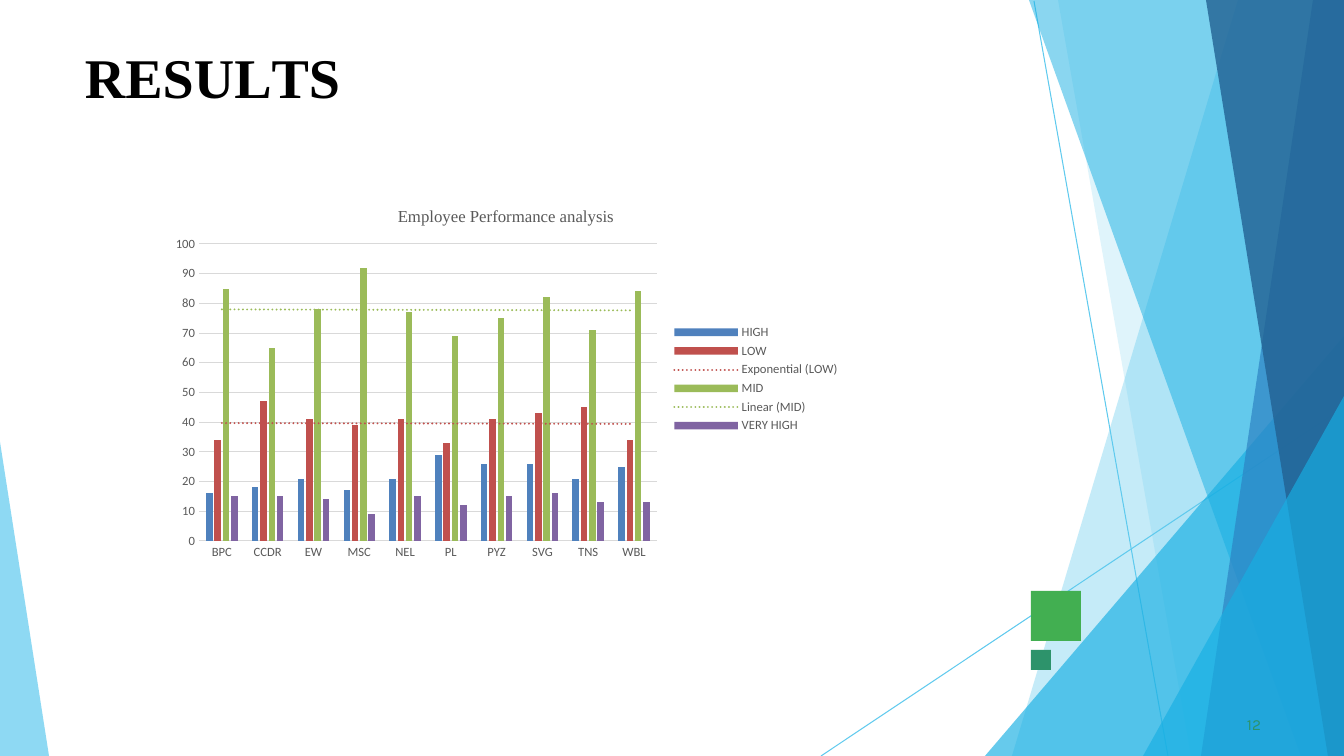
from lxml.etree import SubElement
from pptx import Presentation
from pptx.chart.data import CategoryChartData
from pptx.dml.color import RGBColor
from pptx.enum.chart import XL_CHART_TYPE, XL_LEGEND_POSITION, XL_TICK_MARK
from pptx.enum.shapes import MSO_CONNECTOR, MSO_SHAPE
from pptx.oxml import parse_xml
from pptx.oxml.ns import nsdecls, qn
from pptx.util import Pt

SCALE = 914400 / 100.8
WIDTH, HEIGHT = 1344, 756
COLORS = {
    "sky": "5FCAEE", "cyan": "17AFE3", "blue": "2D83C3", "navy": "226192",
    "green": "42AF51", "teal": "2D936B", "black": "000000",
    "label": "595959", "grid": "D9D9D9",
    "HIGH": "4F81BD", "LOW": "C0504D", "MID": "9BBB59", "VERY HIGH": "8064A2",
}


def px(*lengths):
    return [round(length * SCALE) for length in lengths]


def write_text(place, runs, size, font, color, bold, before):
    box = page.shapes.add_textbox(*px(*place))
    frame = box.text_frame
    frame.word_wrap = True
    frame.margin_left = frame.margin_right = frame.margin_bottom = 0
    frame.margin_top = px(1)[0]
    para = frame.paragraphs[0]
    para.space_before = Pt(before)
    for text, spacing in runs:
        span = para.add_run()
        span.text = text
        span.font.size = Pt(size)
        span.font.name = font
        span.font.bold = bold
        span.font.color.rgb = RGBColor.from_string(COLORS[color])
        span.font._element.set("spc", str(spacing))
    return para


deck = Presentation()
deck.slide_width, deck.slide_height = px(WIDTH, HEIGHT)
page = deck.slides.add_slide(deck.slide_layouts[6])

for ends in [(1034, 1, 1168, HEIGHT), (WIDTH, 407, 821, HEIGHT)]:
    line = page.shapes.add_connector(MSO_CONNECTOR.STRAIGHT, *px(*ends))
    line.line.color.rgb = RGBColor.from_string(COLORS["sky"])
    line.line.width = Pt(0.75)
    SubElement(line._element.spPr, qn("a:effectLst"))

right_top, right_bottom = (WIDTH, 0), (WIDTH, HEIGHT)
facets = [
    ("sky", 36, [right_top, (1238, 0), (1012, HEIGHT), right_bottom]),
    ("sky", 20, [right_top, (1058, 0), (1191, HEIGHT), right_bottom]),
    ("cyan", 66, [(WIDTH, 336), (985, HEIGHT), right_bottom]),
    ("cyan", 50, [right_top, (1029, 0), (1301, HEIGHT), right_bottom]),
    ("blue", 70, [right_top, (1313, 0), (1201, HEIGHT), right_bottom]),
    ("navy", 80, [right_top, (1206, 0), (1328, HEIGHT), right_bottom]),
    ("cyan", 66, [(WIDTH, 396), (1143, HEIGHT), right_bottom]),
    ("sky", 70, [(0, 442), (0, HEIGHT), (49, HEIGHT)]),
]
for color, opacity, points in facets:
    builder = page.shapes.build_freeform(*points[0], scale=SCALE)
    builder.add_line_segments(points[1:], close=True)
    facet = builder.convert_to_shape()
    facet.shadow.inherit = False
    facet.line.fill.background()
    facet.fill.solid()
    facet.fill.fore_color.rgb = RGBColor.from_string(COLORS[color])
    tint = facet._element.spPr.find(qn("a:solidFill"))[0]
    SubElement(tint, qn("a:alpha")).set("val", str(opacity * 1000))

for color, top, side in [("green", 591, 50), ("teal", 650, 20)]:
    square = page.shapes.add_shape(MSO_SHAPE.RECTANGLE, *px(1031, top, side, side))
    square.shadow.inherit = False
    square.line.fill.background()
    square.fill.solid()
    square.fill.fore_color.rgb = RGBColor.from_string(COLORS[color])

heading = [("R", 0), ("E", -40), ("S", 10), ("U", -30), ("L", -400), ("TS", 0)]
title = write_text((84, 42, 269, 70), heading, 40, "Times New Roman", "black", True, 1.1)
title._p.get_or_add_pPr().set("marL", str(px(1)[0]))
number = write_text((1243, 714, 25, 21), [("12", 10)], 11, "Karla", "teal", False, 0.6)
number._p.get_or_add_pPr().set("marL", str(px(4)[0]))

data = CategoryChartData()
data.categories = ["BPC", "CCDR", "EW", "MSC", "NEL", "PL", "PYZ", "SVG", "TNS", "WBL"]
data.add_series("HIGH", [16, 18, 21, 17, 21, 29, 26, 26, 21, 25])
data.add_series("LOW", [34, 47, 41, 39, 41, 33, 41, 43, 45, 34])
data.add_series("MID", [85, 65, 78, 92, 77, 69, 75, 82, 71, 84])
data.add_series("VERY HIGH", [15, 15, 14, 9, 15, 12, 15, 16, 13, 13])
chart = page.shapes.add_chart(
    XL_CHART_TYPE.COLUMN_CLUSTERED, *px(162, 190, 688, 378), data).chart
chart.font.name = "Calibri"
chart.font.size = Pt(10)

chart.has_title = True
span = chart.chart_title.text_frame.paragraphs[0].add_run()
span.text = "Employee Performance analysis"
span.font.name = "Times New Roman"
span.font.size = Pt(12)
span.font.bold = False
span.font.color.rgb = RGBColor.from_string(COLORS["label"])

chart.has_legend = True
chart.legend.position = XL_LEGEND_POSITION.RIGHT
chart.legend.include_in_layout = False
for part in [chart.legend, chart.category_axis.tick_labels, chart.value_axis.tick_labels]:
    part.font.name = "Calibri"
    part.font.size = Pt(9)
    part.font.color.rgb = RGBColor.from_string(COLORS["label"])

for axis in [chart.category_axis, chart.value_axis]:
    axis.major_tick_mark = axis.minor_tick_mark = XL_TICK_MARK.NONE
chart.value_axis.minimum_scale = 0
chart.value_axis.maximum_scale = 100
chart.value_axis.major_unit = 10
chart.value_axis.format.line.fill.background()
for rule in [chart.category_axis.format.line, chart.value_axis.major_gridlines.format.line]:
    rule.color.rgb = RGBColor.from_string(COLORS["grid"])
    rule.width = Pt(0.75)

plot = chart.plots[0]
plot.gap_width = 219
plot.overlap = -27
plot.vary_by_categories = False
trends = {"LOW": "exp", "MID": "linear"}
for series in plot.series:
    color = COLORS[series.name]
    series.format.fill.solid()
    series.format.fill.fore_color.rgb = RGBColor.from_string(color)
    if series.name in trends:
        series._element.find(qn("c:cat")).addprevious(parse_xml(
            f'<c:trendline {nsdecls("c", "a")}><c:spPr><a:ln w="{Pt(1.5)}" cap="rnd">'
            f'<a:solidFill><a:srgbClr val="{color}"/></a:solidFill>'
            '<a:prstDash val="sysDot"/></a:ln></c:spPr>'
            f'<c:trendlineType val="{trends[series.name]}"/>'
            '<c:dispRSqr val="0"/><c:dispEq val="0"/></c:trendline>'))

area = chart._chartSpace.chart.plotArea
for layout in area.findall(qn("c:layout")):
    area.remove(layout)
layout = SubElement(area, qn("c:layout"))
area.insert(0, layout)
manual = SubElement(layout, qn("c:manualLayout"))
for tag, value in [("layoutTarget", "inner"), ("xMode", "edge"), ("yMode", "edge"),
                   ("x", 37 / 688), ("y", 54 / 378), ("w", 458 / 688), ("h", 297 / 378)]:
    SubElement(manual, qn(f"c:{tag}")).set("val", str(value))

deck.save("out.pptx")
